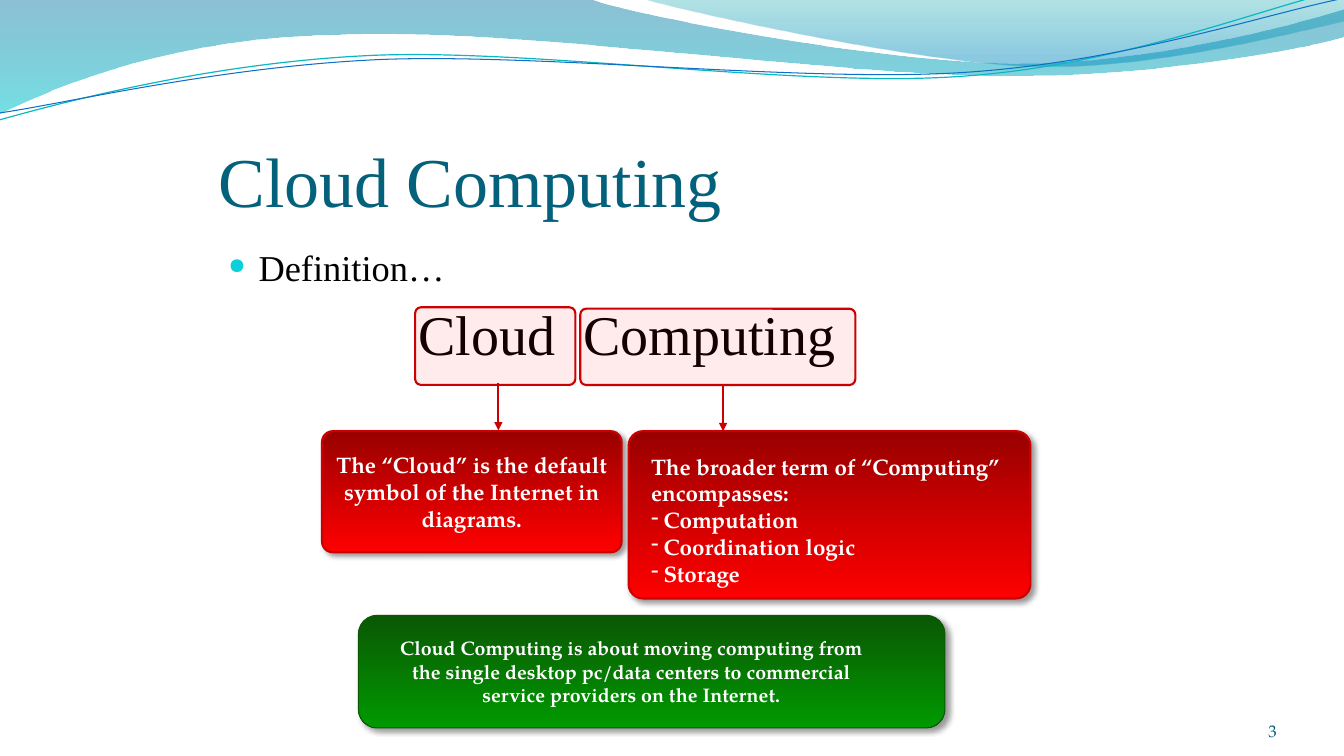
from lxml.etree import SubElement
from pptx import Presentation
from pptx.dml.color import RGBColor
from pptx.enum.shapes import MSO_CONNECTOR as Connector, MSO_SHAPE as Shape
from pptx.enum.text import MSO_ANCHOR as Anchor, PP_ALIGN as Align
from pptx.oxml.ns import qn
from pptx.util import Pt

COLORS = {
    "title": "04617B", "ink": "000000", "white": "FFFFFF", "number": "045D75",
    "bullet": "0BD0D9", "red_dark": "990000", "red": "FF0000", "red_line": "CC0000",
    "green_dark": "0A5804", "green": "009900",
    "wave_blue": "0074A1", "wave_aqua": "00C6CF", "wave_teal": "00A1A9",
    "wave_sky": "008BBF", "line_teal": "0AB8BF", "line_blue": "0F6FC6",
}
SERIF, BOOK = "Times New Roman", "TeX Gyre Pagella"

# Each wave: start point, then corner points (2 numbers) or curves (6 numbers)
UPPER_WAVE = [(0, 0), (422.6, -0.5), (456.5, 12, 637, 45.2, 728, 45.2),
              (819, 45.2, 920, 19, 960, 6.5), (961, 26), (944, 31.7, 835, 54.7, 716, 54.3),
              (597, 54, 366.5, 20, 247, 24.5), (124, 26, 44, 60, -0.5, 81.4)]
RIGHT_WAVE = [(460, -0.5), (489, 8, 654.5, 44.6, 738, 47),
              (821.5, 49.5, 923, 23, 960, 15), (960, 0)]
TEAL_LINE = [(-0.5, 85.7), (46, 72.7, 152, 44.6, 265.7, 39.6),
             (379.4, 34.6, 569, 62.6, 684, 54.7), (799, 47.5, 901.4, 5.8, 958.3, -7.2)]
BLUE_LINE = [(0, 80.6), (45.4, 74.2, 157, 47.5, 272, 42.5),
             (386.6, 38, 573, 59, 687.6, 51.8), (802.8, 44.6, 903.6, 10, 960.5, -1.4)]


def rgb(name):
    return RGBColor.from_string(COLORS[name])


def set_alpha(shape, percents):
    """Apply opacity to the fill colours; call before the outline is set."""
    for color, percent in zip(shape._element.spPr.iter(qn("a:srgbClr")), percents):
        SubElement(color, qn("a:alpha"), val=str(percent * 1000))


def fill_gradient(shape, names, end=1):
    shape.fill.gradient()
    shape.fill.gradient_angle = 270
    for stop, name, position in zip(shape.fill.gradient_stops, names, (0, end)):
        stop.color.rgb = rgb(name)
        stop.position = position


def set_line(shape, name, width):
    shape.line.color.rgb = rgb(name)
    shape.line.width = Pt(width)


def set_frame(frame, insets, anchor):
    sides = ("margin_left", "margin_top", "margin_right", "margin_bottom")
    formats = dict(zip(sides, map(Pt, insets)), word_wrap=True, vertical_anchor=anchor)
    for key, value in formats.items():
        setattr(frame, key, value)


def write(para, text, size, font, color, align=Align.LEFT, bold=False):
    para.alignment = align
    span = para.add_run()
    span.text = text
    for key, value in {"size": Pt(size), "name": font, "bold": bold}.items():
        setattr(span.font, key, value)
    span.font.color.rgb = rgb(color)
    return span


def add_bullet(para, mark, indent, color=None, percent=None):
    props = para._p.get_or_add_pPr()
    props.set("marL", str(Pt(indent)))
    props.set("indent", str(-Pt(indent)))
    if color:
        SubElement(SubElement(props, qn("a:buClr")), qn("a:srgbClr"), val=COLORS[color])
    if percent:
        SubElement(props, qn("a:buSzPct"), val=str(percent * 1000))
    SubElement(props, qn("a:buChar"), char=mark)


def add_wave(page, segments, closed):
    pairs = [(Pt(x), Pt(y)) for segment in segments
             for x, y in zip(segment[::2], segment[1::2])]
    builder = page.shapes.build_freeform(*pairs[0], scale=1.0)
    builder.add_line_segments(pairs[1:], close=closed)
    wave = builder.convert_to_shape()
    wave.shadow.inherit = False
    # Join each three points of a curve into one cubic segment
    steps = iter(list(wave._element.spPr.iter(qn("a:lnTo"))))
    for segment in segments[1:]:
        first = next(steps)
        if len(segment) == 6:
            first.tag = qn("a:cubicBezTo")
            for step in (next(steps), next(steps)):
                first.append(step[0])
                step.getparent().remove(step)
    return wave


def add_banner(page):
    for segments, names, alphas, end in (
            (UPPER_WAVE, ("wave_blue", "wave_aqua"), (45, 55), 1),
            (RIGHT_WAVE, ("wave_teal", "wave_sky"), (30, 45), 0.8)):
        wave = add_wave(page, segments, True)
        fill_gradient(wave, names, end)
        set_alpha(wave, alphas)
        wave.line.fill.background()
    for segments, name, width in ((TEAL_LINE, "line_teal", 0.85),
                                  (BLUE_LINE, "line_blue", 0.75)):
        curve = add_wave(page, segments, False)
        curve.fill.background()
        set_line(curve, name, width)


def add_title(page, text, box):
    title = page.shapes.title
    for key, value in zip(("left", "top", "width", "height"), box):
        setattr(title, key, Pt(value))
    set_frame(title.text_frame, (0, 3.6, 0, 0), Anchor.BOTTOM)
    write(title.text_frame.paragraphs[0], text, 50, SERIF, "title")


def add_label(page, box, insets, anchor):
    frame = page.shapes.add_textbox(*map(Pt, box)).text_frame
    set_frame(frame, insets, anchor)
    return frame


def add_round_box(page, box, corner):
    shape = page.shapes.add_shape(Shape.ROUNDED_RECTANGLE, *map(Pt, box))
    shape.adjustments[0] = corner
    shape.shadow.inherit = False
    return shape


def add_body(page, box):
    frame = add_label(page, box, (7.2, 3.6, 7.2, 3.6), Anchor.TOP)
    lead = frame.paragraphs[0]
    add_bullet(lead, "●", 21.6, "bullet", 60)
    write(lead, "Definition…", 26, SERIF, "ink")
    # Both terms on one line, with a widened gap between them
    terms = frame.add_paragraph()
    terms._p.get_or_add_pPr().set("marL", str(Pt(136)))
    terms.space_before = Pt(8)
    for text, spacing in (("Cloud", 0), (" ", 10), ("Computing", 0)):
        span = write(terms, text, 40, SERIF, "ink")
        if spacing:
            span._r.get_or_add_rPr().set("spc", str(spacing * 100))


def add_tint(page, box):
    tint = add_round_box(page, box, 0.078)
    tint.fill.solid()
    tint.fill.fore_color.rgb = rgb("red")
    set_alpha(tint, (8,))
    set_line(tint, "red_line", 1.5)


def add_card(page, box, corner, names, outline, insets, text, size, align, items=()):
    card = add_round_box(page, box, corner)
    fill_gradient(card, names)
    set_line(card, *outline)
    # Soft shadow to the lower right
    effects = card._element.spPr.find(qn("a:effectLst"))
    shadow = SubElement(effects, qn("a:outerShdw"), blurRad=str(Pt(4)),
                        dist=str(Pt(3)), dir="2700000", algn="tl", rotWithShape="0")
    black = SubElement(shadow, qn("a:srgbClr"), val=COLORS["ink"])
    SubElement(black, qn("a:alpha"), val="40000")
    frame = card.text_frame
    set_frame(frame, insets, Anchor.MIDDLE)
    write(frame.paragraphs[0], text, size, BOOK, "white", align, True)
    for item in items:
        para = frame.add_paragraph()
        add_bullet(para, "-", 9)
        write(para, item, size, BOOK, "white", align, True)


def add_arrow(page, x, top, bottom):
    arrow = page.shapes.add_connector(Connector.STRAIGHT, Pt(x), Pt(top), Pt(x), Pt(bottom))
    set_line(arrow, "red_line", 1.5)
    SubElement(arrow.line._get_or_add_ln(), qn("a:tailEnd"), type="triangle")
    SubElement(arrow._element.spPr, qn("a:effectLst"))


def add_definition(page, left, top, width, height):
    add_body(page, (left, top, width, height))
    # Each term points to its explanation
    reds, outline = ("red_dark", "red"), ("red_line", 1.5)
    add_card(page, (left + 74, top + 136.5, 214, 86.5), 0.089, reds, outline,
             (5.8, 12.2, 5.8, 12.2),
             "The “Cloud” is the default symbol of the Internet in diagrams.",
             16, Align.CENTER)
    add_tint(page, (left + 140.5, top + 48, 114.5, 55.5))
    add_arrow(page, left + 200, top + 102, top + 136)
    add_tint(page, (left + 258.5, top + 49, 196.5, 54.5))
    add_card(page, (left + 293, top + 136.5, 287, 119.5), 0.086, reds, outline,
             (13, 12.2, 13, 5), "The broader term of “Computing” encompasses:",
             16, Align.LEFT, ("Computation", "Coordination logic", "Storage"))
    add_arrow(page, left + 360.5, top + 103.5, top + 136.5)
    # Summary
    add_card(page, (left + 100, top + 268, 419, 80.5), 0.1667, ("green_dark", "green"),
             ("green_dark", 0.75), (14.4, 10.8, 43.2, 10.8),
             "Cloud Computing is about moving computing from the single desktop "
             "pc/data centers to commercial service providers on the Internet.",
             14, Align.CENTER)


def main():
    deck = Presentation()
    deck.slide_width, deck.slide_height = Pt(960), Pt(540)
    page = deck.slides.add_slide(deck.slide_layouts[5])
    add_banner(page)
    add_title(page, "Cloud Computing", (156, 88, 648, 70))
    add_definition(page, 156, 171.5, 648, 356)
    number = add_label(page, (832, 500, 80, 29), (0, 0, 0, 0), Anchor.BOTTOM)
    write(number.paragraphs[0], "3", 12, BOOK, "number", Align.RIGHT)
    deck.save("out.pptx")


if __name__ == "__main__":
    main()
